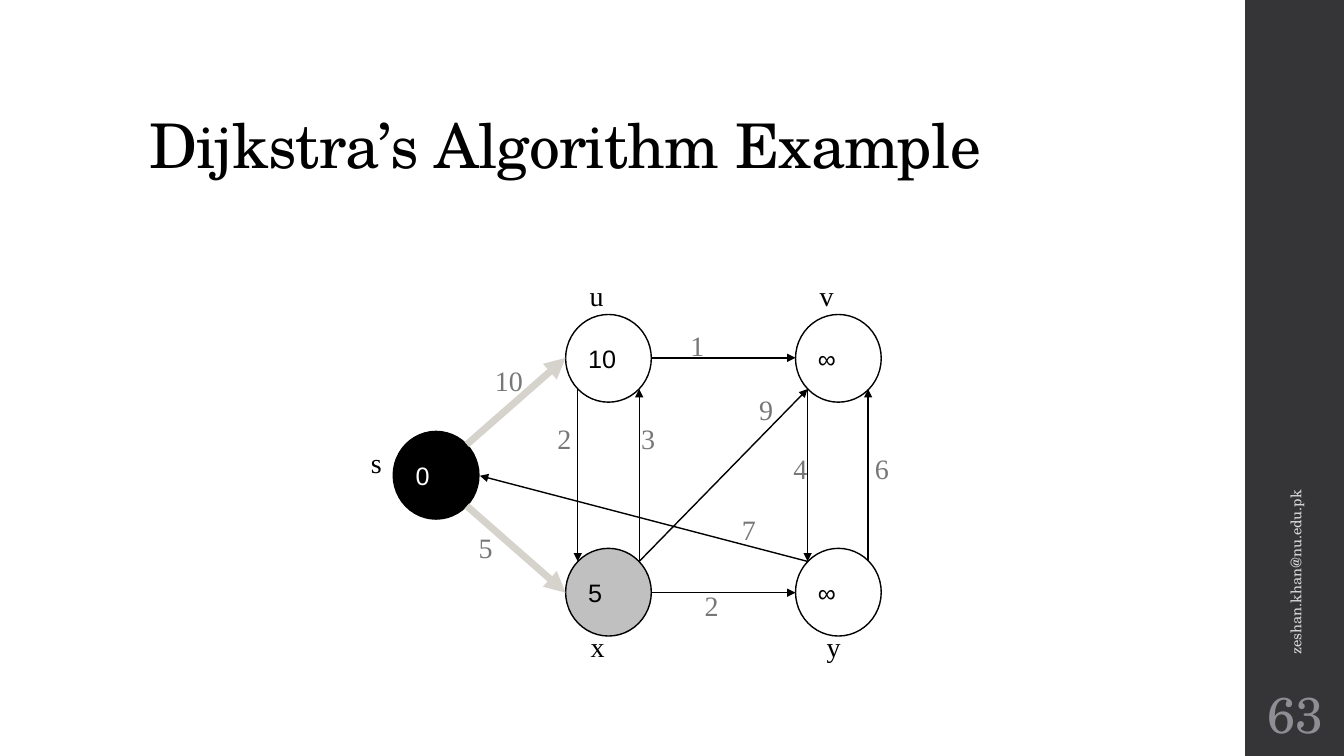
"""Build the Dijkstra's algorithm example slide with its weighted graph."""
from lxml import etree
from pptx import Presentation
from pptx.dml.color import RGBColor
from pptx.enum import shapes, text
from pptx.oxml import ns
from pptx.util import Inches, Pt

SERIF = "TeX Gyre Schola"
TIMES = "Times New Roman"
BLACK = "000000"
WEIGHT_GREY = "777777"
PATH_GREY = "D6D3CC"
NODE_WIDTH, NODE_HEIGHT = 0.85, 0.87


def color(value):
    return RGBColor.from_string(value)


def write(shape, words, size, font, ink, anchor=text.MSO_ANCHOR.TOP):
    frame = shape.text_frame
    frame.word_wrap = True
    frame.vertical_anchor = anchor
    para = frame.paragraphs[0]
    para.alignment = text.PP_ALIGN.LEFT
    span = para.add_run()
    span.text = words
    span.font.size = Pt(size)
    span.font.name = font
    span.font.color.rgb = color(ink)
    return para


deck = Presentation()
deck.slide_width = Inches(13.33)
deck.slide_height = Inches(7.5)
page = deck.slides.add_slide(deck.slide_layouts[6])

sidebar = page.shapes.add_shape(
    shapes.MSO_SHAPE.RECTANGLE, Inches(12.35), 0, Inches(0.98), Inches(7.5))
sidebar.shadow.inherit = False
sidebar.fill.solid()
sidebar.fill.fore_color.rgb = color("353537")
sidebar.line.fill.background()

title = page.shapes.add_textbox(Inches(1.38), Inches(0.4), Inches(10.6), Inches(1.45))
para = write(title, "Dijkstra’s Algorithm Example", 44, SERIF, BLACK, text.MSO_ANCHOR.BOTTOM)
para.line_spacing = 0.9
para.runs[0].font._element.set("spc", "-50")

email = page.shapes.add_textbox(Inches(10.89), Inches(4.43), Inches(3.92), Inches(0.4))
email.rotation = 270
write(email, "zeshan.khan@nu.edu.pk", 10.5, SERIF, "D9D9DB", text.MSO_ANCHOR.MIDDLE)

number = page.shapes.add_textbox(Inches(12.35), Inches(6.75), Inches(1), Inches(0.65))
number.text_frame.margin_left = number.text_frame.margin_right = Inches(0.05)
para = write(number, "63", 36, SERIF, "8E8E94", text.MSO_ANCHOR.MIDDLE)
para.alignment = text.PP_ALIGN.CENTER

nodes = [
    ("10", 5.61, 3.12, None, BLACK),
    ("∞", 7.89, 3.12, None, BLACK),
    ("5", 5.61, 5.44, "C0C0C0", BLACK),
    ("∞", 7.89, 5.44, None, BLACK),
    ("0", 3.9, 4.28, BLACK, "FFFFFF"),
]
for distance, left, top, fill, ink in nodes:
    node = page.shapes.add_shape(
        shapes.MSO_SHAPE.OVAL, Inches(left), Inches(top),
        Inches(NODE_WIDTH), Inches(NODE_HEIGHT))
    node.shadow.inherit = False
    if fill:
        node.fill.solid()
        node.fill.fore_color.rgb = color(fill)
    else:
        node.fill.background()
    node.line.color.rgb = color(BLACK)
    node.line.width = Pt(1)
    write(node, distance, 18, "Arial", ink, text.MSO_ANCHOR.MIDDLE)

edges = [
    (6.34, 5.57, 6.34, 3.86, BLACK, 1),
    (5.73, 3.86, 5.73, 5.57, BLACK, 1),
    (6.46, 3.55, 7.89, 3.55, BLACK, 1),
    (6.34, 5.57, 8.01, 3.86, BLACK, 1),
    (8.01, 3.86, 8.01, 5.57, BLACK, 1),
    (8.61, 5.57, 8.61, 3.86, BLACK, 1),
    (6.46, 5.88, 7.89, 5.88, BLACK, 1),
    (8.01, 5.57, 4.76, 4.72, BLACK, 1),
    (4.63, 5.02, 5.61, 5.88, PATH_GREY, 5),
    (4.63, 4.41, 5.61, 3.55, PATH_GREY, 5),
]
for start_x, start_y, end_x, end_y, ink, width in edges:
    edge = page.shapes.add_connector(
        shapes.MSO_CONNECTOR.STRAIGHT, Inches(start_x), Inches(start_y),
        Inches(end_x), Inches(end_y))
    edge.line.color.rgb = color(ink)
    edge.line.width = Pt(width)
    etree.SubElement(edge.line._get_or_add_ln(), ns.qn("a:tailEnd"), type="triangle")
    etree.SubElement(edge._element.spPr, ns.qn("a:effectLst"))

labels = [
    ("s", 3.58, 4.37, BLACK),
    ("u", 5.75, 2.71, BLACK),
    ("v", 8.03, 2.71, BLACK),
    ("y", 8.1, 6.2, BLACK),
    ("x", 5.76, 6.2, BLACK),
    ("10", 4.81, 3.56, WEIGHT_GREY),
    ("5", 4.65, 5.21, WEIGHT_GREY),
    ("1", 6.75, 3.21, WEIGHT_GREY),
    ("2", 5.43, 4.13, WEIGHT_GREY),
    ("3", 6.26, 4.13, WEIGHT_GREY),
    ("9", 7.43, 3.84, WEIGHT_GREY),
    ("4", 7.77, 4.43, WEIGHT_GREY),
    ("6", 8.58, 4.43, WEIGHT_GREY),
    ("7", 7.26, 5.04, WEIGHT_GREY),
    ("2", 6.89, 5.79, WEIGHT_GREY),
]
for words, left, top, ink in labels:
    label = page.shapes.add_textbox(Inches(left), Inches(top), Inches(0.57), Inches(0.43))
    write(label, words, 20, TIMES, ink)

deck.save("out.pptx")
